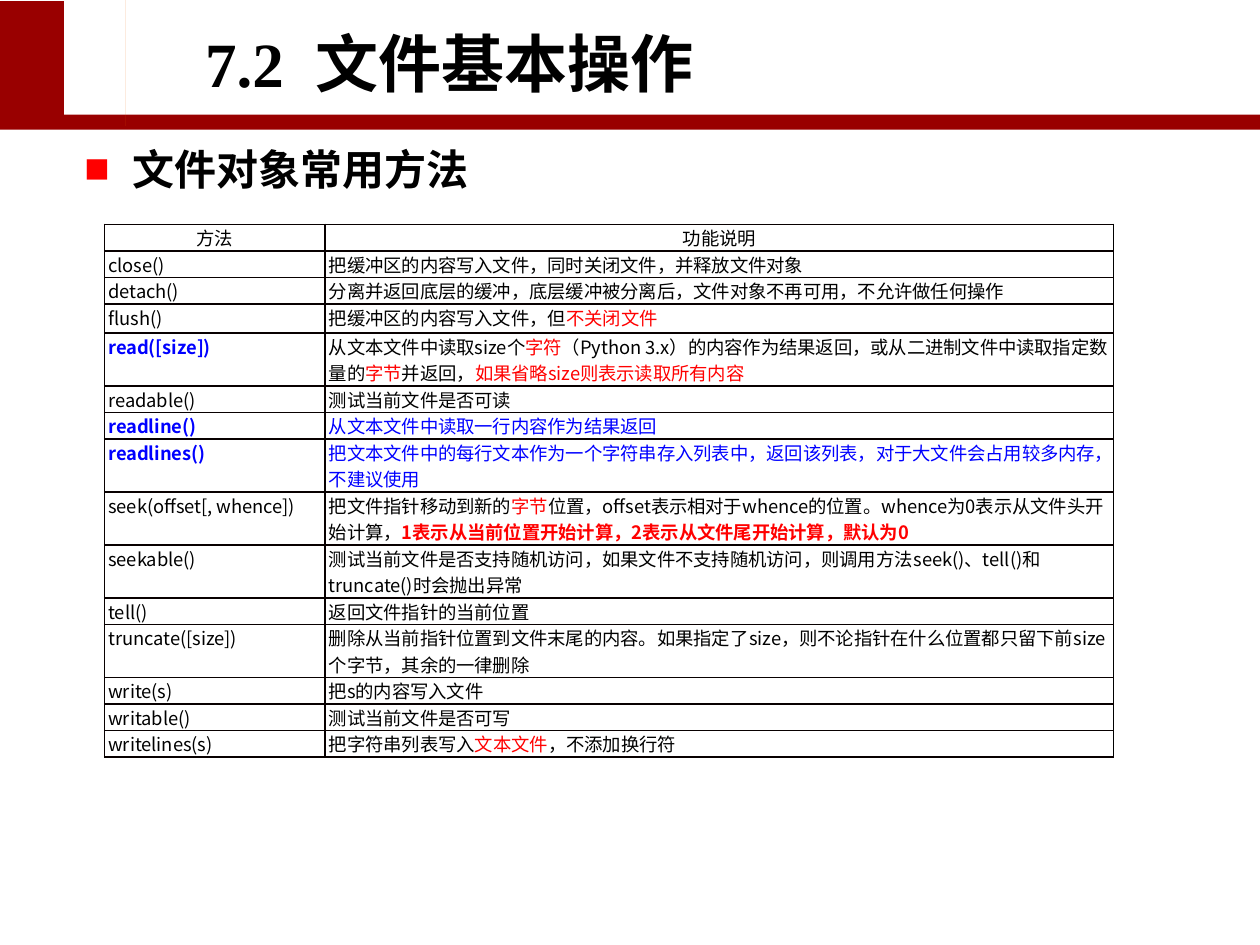
import dataclasses

import lxml.etree
import pptx
import pptx.dml.color
import pptx.enum.shapes
import pptx.enum.text
import pptx.oxml.ns
import pptx.util

Inches = pptx.util.Inches
Pt = pptx.util.Pt
ALIGN = pptx.enum.text.PP_ALIGN
qn = pptx.oxml.ns.qn


@dataclasses.dataclass(frozen=True)
class Theme:
    band: str = "990000"
    paper: str = "FFFFFF"
    badge: str = "EA6103"
    ink: str = "000000"
    red: str = "FF0000"
    blue: str = "0000FF"
    border: str = "080000"
    heading_font: str = "Times New Roman"
    cjk_font: str = "Noto Sans CJK SC"
    title_size: float = 36
    body_size: float = 24
    cell_size: float = 10.5


THEME = Theme()


def red(text, bold=False):
    return text, THEME.red, bold


def blue(text, bold=False):
    return text, THEME.blue, bold


# Row height, method, and the runs of its description.
METHODS = [
    (0.17, "close()", ["把缓冲区的内容写入文件，同时关闭文件，并释放文件对象"]),
    (0.21, "detach()", ["分离并返回底层的缓冲，底层缓冲被分离后，文件对象不再可用，不允许做任何操作"]),
    (0.23, "flush()", ["把缓冲区的内容写入文件，但", red("不关闭文件")]),
    (0.35, blue("read([size])", True), [
        "从文本文件中读取size个", red("字符"),
        "（Python 3.x）的内容作为结果返回，或从二进制文件中读取指定数量的",
        red("字节"), "并返回，", red("如果省略size则表示读取所有内容")]),
    (0.17, "readable()", ["测试当前文件是否可读"]),
    (0.17, blue("readline()", True), [blue("从文本文件中读取一行内容作为结果返回")]),
    (0.35, blue("readlines()", True), [
        blue("把文本文件中的每行文本作为一个字符串存入列表中，返回该列表，对于大文件会占用较多内存，不建议使用")]),
    (0.41, "seek(offset[, whence])", [
        "把文件指针移动到新的", red("字节"),
        "位置，offset表示相对于whence的位置。whence为0表示从文件头开始计算，",
        red("1表示从当前位置开始计算，2表示从文件尾开始计算，默认为0", True)]),
    (0.35, "seekable()", [
        "测试当前文件是否支持随机访问，如果文件不支持随机访问，则调用方法seek()、tell()和truncate()时会抛出异常"]),
    (0.17, "tell()", ["返回文件指针的当前位置"]),
    (0.35, "truncate([size])", [
        "删除从当前指针位置到文件末尾的内容。如果指定了size，则不论指针在什么位置都只留下前size个字节，其余的一律删除"]),
    (0.17, "write(s)", ["把s的内容写入文件"]),
    (0.17, "writable()", ["测试当前文件是否可写"]),
    (0.17, "writelines(s)", ["把字符串列表写入", red("文本文件"), "，不添加换行符"]),
]


def rgb(value):
    return pptx.dml.color.RGBColor.from_string(value)


def rounded_outline(corners, cut, steps=6):
    """Return polygon points whose corners are curves starting cut inches from each corner."""
    def toward(a, b):
        length = ((b[0] - a[0]) ** 2 + (b[1] - a[1]) ** 2) ** 0.5
        return tuple(m + (n - m) * cut / length for m, n in zip(a, b))

    points = []
    for i, corner in enumerate(corners):
        start = toward(corner, corners[i - 1])
        end = toward(corner, corners[(i + 1) % len(corners)])
        for t in (k / steps for k in range(steps + 1)):
            points.append(tuple((1 - t) ** 2 * a + 2 * t * (1 - t) * c + t ** 2 * b
                                for a, c, b in zip(start, corner, end)))
    return points


class SlideBuilder:
    def __init__(self, prs, theme):
        self.theme = theme
        self.slide = prs.slides.add_slide(prs.slide_layouts[1])
        self.shapes = self.slide.shapes

    def paint(self, sp, color):
        sp.shadow.inherit = False
        sp.fill.solid()
        sp.fill.fore_color.rgb = rgb(color)
        sp.line.fill.background()

    def rect(self, box, color):
        sp = self.shapes.add_shape(pptx.enum.shapes.MSO_SHAPE.RECTANGLE, *map(Inches, box))
        self.paint(sp, color)

    def outline(self, points, color):
        builder = self.shapes.build_freeform(*points[0], scale=Inches(1))
        builder.add_line_segments(points[1:], close=True)
        self.paint(builder.convert_to_shape(), color)

    def run(self, p, text, size, font, color=None, bold=False):
        r = p.add_run()
        r.text = text
        r.font.name = font
        r.font.size = Pt(size)
        r.font.bold = bold
        r.font.color.rgb = rgb(color or self.theme.ink)
        ea = lxml.etree.SubElement(r.font._element, qn("a:ea"))
        ea.set("typeface", self.theme.cjk_font)

    def placeholder(self, sp, box, insets, anchor):
        """Move a placeholder in front of the band and return its first paragraph."""
        self.shapes._spTree.append(sp._element)
        sp.left, sp.top, sp.width, sp.height = map(Inches, box)
        tf = sp.text_frame
        tf.word_wrap = True
        tf.auto_size = pptx.enum.text.MSO_AUTO_SIZE.NONE
        tf.vertical_anchor = anchor
        tf.margin_left = tf.margin_right = Inches(insets[0])
        tf.margin_top = tf.margin_bottom = Inches(insets[1])
        return tf.paragraphs[0]

    def title(self, text, box):
        p = self.placeholder(self.shapes.title, box, (0.1, 0.05),
                             pptx.enum.text.MSO_ANCHOR.MIDDLE)
        p.alignment = ALIGN.CENTER
        self.run(p, text, self.theme.title_size, self.theme.heading_font, bold=True)

    def bullet(self, text, box):
        p = self.placeholder(self.slide.placeholders[1], box, (0.08, 0.04),
                             pptx.enum.text.MSO_ANCHOR.TOP)
        p.space_before = Pt(0.2 * self.theme.body_size)
        pPr = p._p.get_or_add_pPr()
        pPr.set("marL", str(Inches(0.38)))
        pPr.set("indent", str(-Inches(0.38)))
        color = lxml.etree.SubElement(pPr, qn("a:buClr"))
        lxml.etree.SubElement(color, qn("a:srgbClr")).set("val", self.theme.red)
        lxml.etree.SubElement(pPr, qn("a:buFont")).set("typeface", self.theme.heading_font)
        lxml.etree.SubElement(pPr, qn("a:buChar")).set("char", "■")
        self.run(p, text, self.theme.body_size, self.theme.heading_font, bold=True)

    def borders(self, cell, last):
        tcPr = cell._tc.get_or_add_tcPr()
        for i, side in enumerate(("lnL", "lnR", "lnT", "lnB")):
            outer = last and side == "lnR"
            ln = lxml.etree.Element(qn("a:" + side))
            ln.set("w", str(Pt(0.75 if outer else 1)))
            fill = lxml.etree.SubElement(ln, qn("a:solidFill"))
            color = self.theme.ink if outer else self.theme.border
            lxml.etree.SubElement(fill, qn("a:srgbClr")).set("val", color)
            tcPr.insert(i, ln)

    def cell(self, cell, runs, header, last):
        cell.fill.background()
        cell.margin_left = Inches(0 if header else 0.03)
        cell.margin_right = cell.margin_top = cell.margin_bottom = 0
        p = cell.text_frame.paragraphs[0]
        p.alignment = ALIGN.CENTER if header else ALIGN.LEFT
        for part in runs:
            text, color, bold = (part, None, False) if isinstance(part, str) else part
            self.run(p, text, self.theme.cell_size, self.theme.cjk_font, color, bold)
        self.borders(cell, last)

    def table(self, left, top, widths, rows):
        height = sum(row[0] for row in rows)
        table = self.shapes.add_table(len(rows), len(widths), Inches(left), Inches(top),
                                      Inches(sum(widths)), Inches(height)).table
        table.first_row = table.horz_banding = False
        for column, width in zip(table.columns, widths):
            column.width = Inches(width)
        for i, (row_height, method, description) in enumerate(rows):
            table.rows[i].height = Inches(row_height)
            self.cell(table.cell(i, 0), [method], i == 0, False)
            self.cell(table.cell(i, 1), description, i == 0, True)


def main():
    prs = pptx.Presentation()
    prs.slide_width, prs.slide_height = Inches(10), Inches(7.5)
    s = SlideBuilder(prs, THEME)
    s.rect((0, 0.01, 10, 1.02), THEME.band)
    s.rect((0.51, 0, 9.49, 0.91), THEME.paper)
    s.bullet("文件对象常用方法", (0.59, 1.1, 9, 5.12))
    s.table(0.83, 1.78, (1.75, 6.26), [(0.17, "方法", ["功能说明"])] + METHODS)
    hexagon = [(0.61, 0.5), (0.83, 0.13), (1.29, 0.13),
               (1.51, 0.5), (1.29, 0.86), (0.83, 0.86)]
    s.outline(rounded_outline(hexagon, 0.05), THEME.badge)
    s.title("7.2  文件基本操作", (0.16, 0.14, 6.81, 0.71))
    prs.save("out.pptx")


if __name__ == "__main__":
    main()
